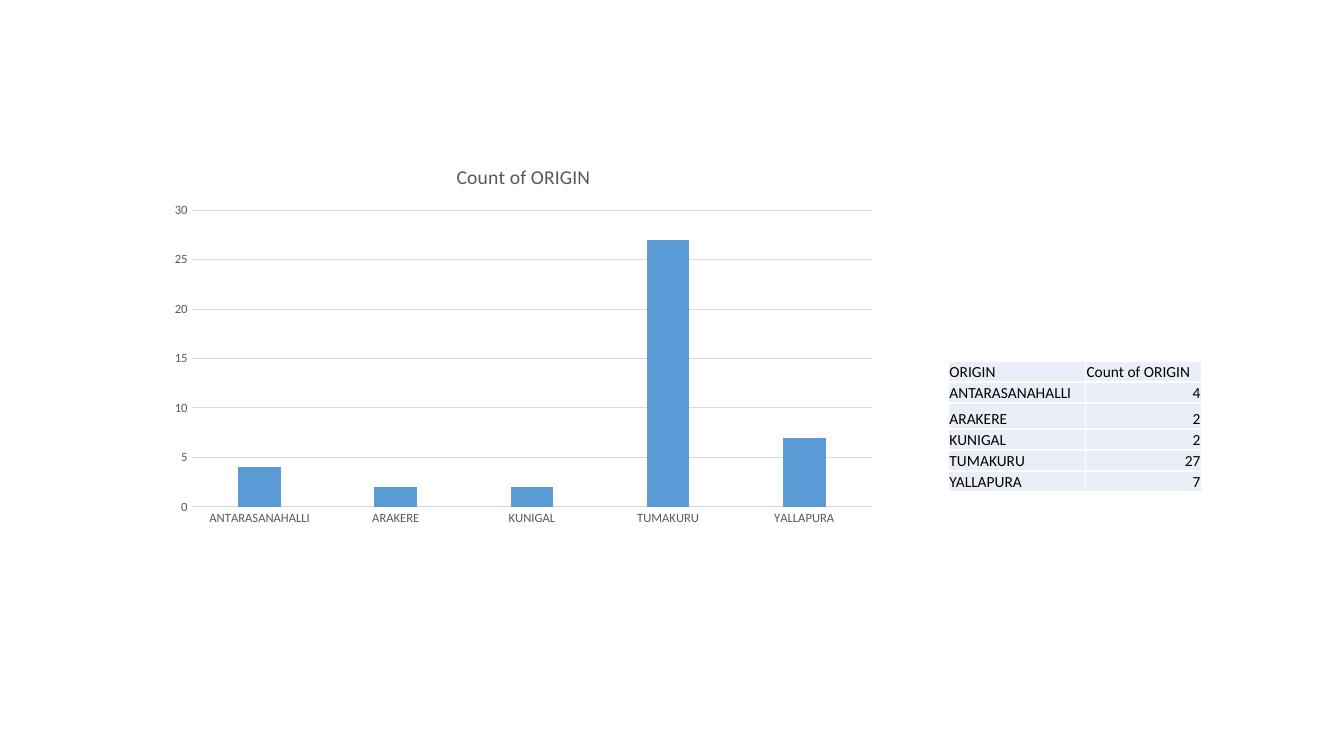
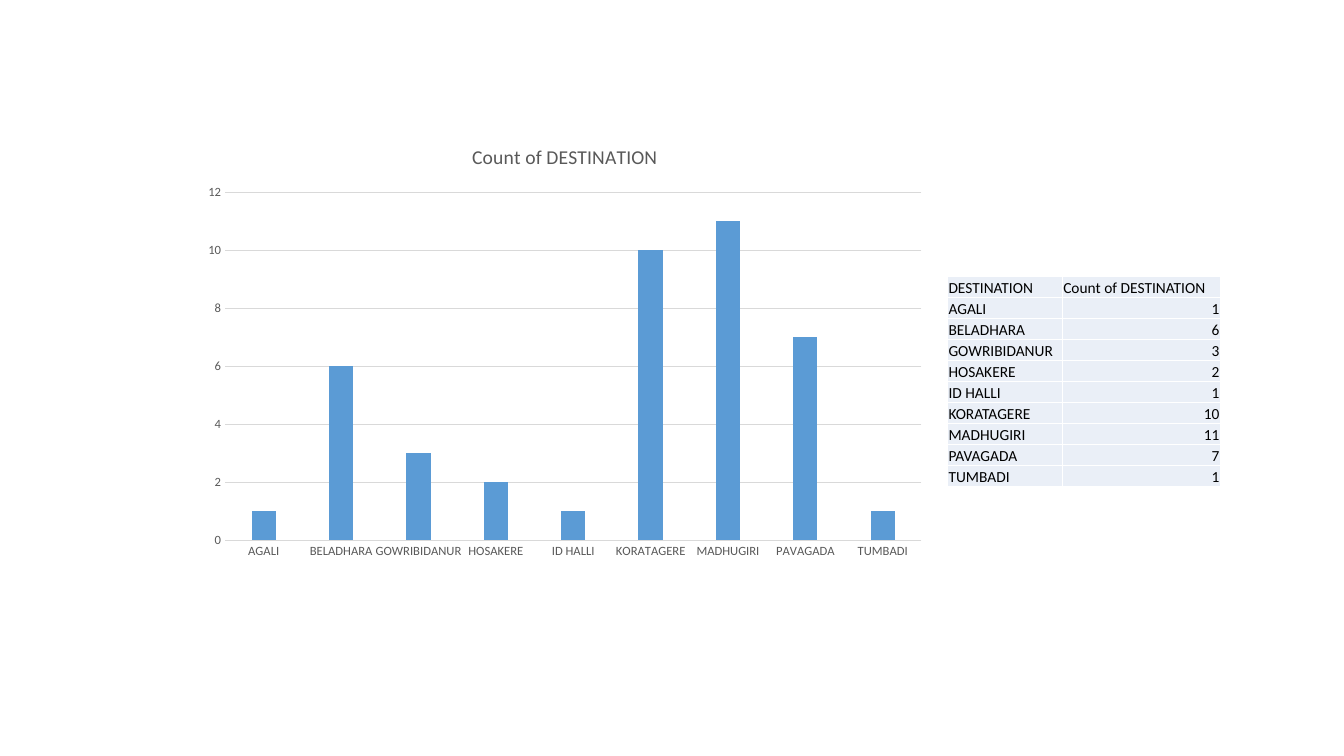
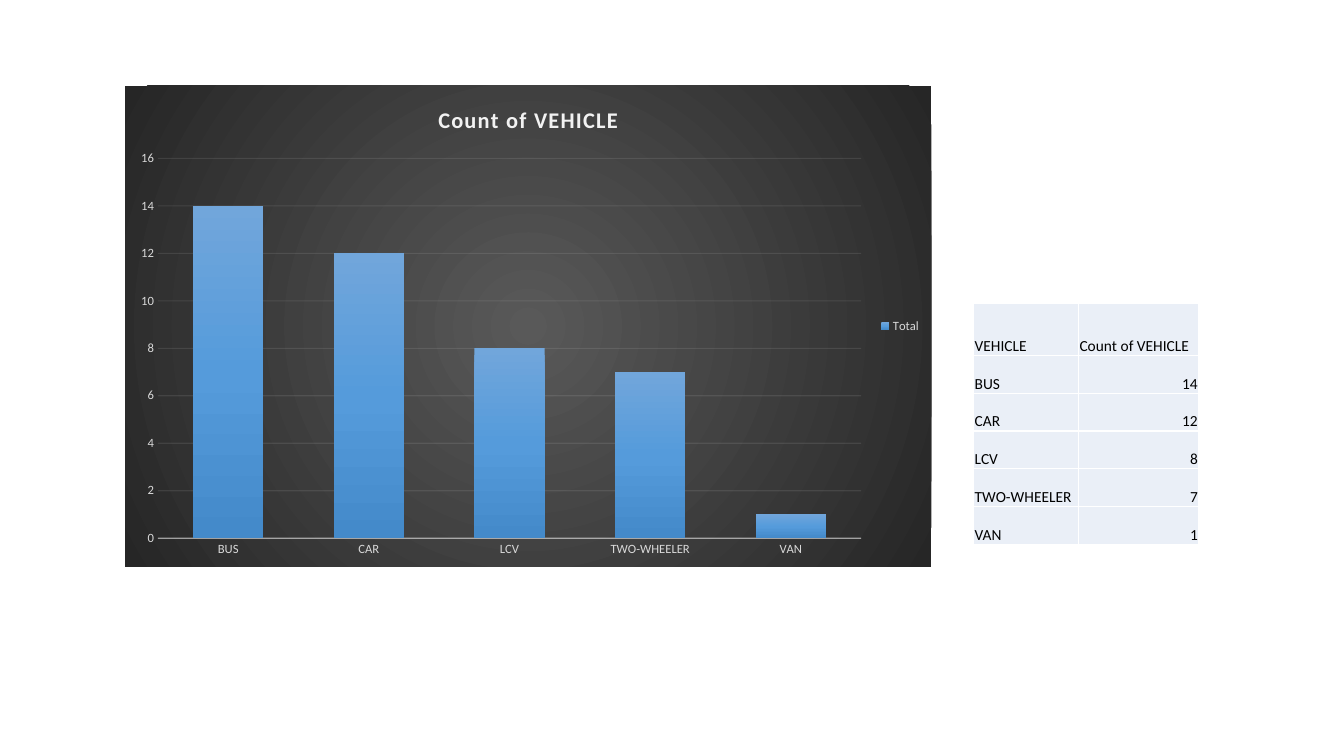
"""Build three slides, each with a column chart of traffic counts and its table."""
from dataclasses import dataclass
from typing import Optional

from pptx import Presentation
from pptx.chart.data import CategoryChartData
from pptx.dml.color import RGBColor
from pptx.dml.line import LineFormat
from pptx.enum.chart import XL_CHART_TYPE, XL_LEGEND_POSITION, XL_TICK_MARK
from pptx.enum.text import MSO_ANCHOR, PP_ALIGN
from pptx.oxml import parse_xml
from pptx.oxml.ns import nsdecls, qn
from pptx.slide import Slide
from pptx.table import _Cell
from pptx.text.text import Font, TextFrame
from pptx.util import Pt

COLUMN = XL_CHART_TYPE.COLUMN_CLUSTERED
LEGEND_RIGHT = XL_LEGEND_POSITION.RIGHT
NO_TICK = XL_TICK_MARK.NONE
BOTTOM = MSO_ANCHOR.BOTTOM
LEFT, RIGHT = PP_ALIGN.LEFT, PP_ALIGN.RIGHT

BLACK = RGBColor(0x00, 0x00, 0x00)
WHITE = RGBColor(0xFF, 0xFF, 0xFF)
BLUE = RGBColor(0x5B, 0x9B, 0xD5)
PALE_BLUE = RGBColor(0xEA, 0xEF, 0xF7)
GREY = RGBColor(0x59, 0x59, 0x59)
LIGHT_GREY = RGBColor(0xD9, 0xD9, 0xD9)
OFF_WHITE = RGBColor(0xF2, 0xF2, 0xF2)
CHARCOAL = RGBColor(0x26, 0x26, 0x26)
BAR_TOP = RGBColor(0x71, 0xA6, 0xDB)
BAR_MIDDLE = RGBColor(0x55, 0x9B, 0xDB)
BAR_BOTTOM = RGBColor(0x44, 0x8A, 0xCA)

FONT = "Calibri"
DOWNWARD = '<a:lin ang="5400000" scaled="0"/>'
RADIAL = ('<a:path path="circle"><a:fillToRect l="50000" t="50000" '
          'r="50000" b="50000"/></a:path>')


@dataclass(frozen=True)
class Look:
    """Styling of a chart."""
    label_color: RGBColor = GREY
    title_color: RGBColor = GREY
    title_size: float = 14
    title_bold: bool = False
    title_spacing: float = 0
    line_color: RGBColor = LIGHT_GREY
    axis_width: float = 0.75
    axis_opacity: int = 100
    grid_opacity: int = 100
    gap: int = 219
    overlap: int = -27
    legend: bool = False
    bar_stops: tuple[RGBColor, ...] = ()
    backdrop_stops: tuple[RGBColor, ...] = ()


@dataclass(frozen=True)
class Tally:
    """One counted field with the places of its chart and table."""
    field: str
    counts: dict[str, int]
    chart_box: tuple[float, float, float, float]
    axis_max: int
    axis_step: int
    table_at: tuple[float, float]
    column_widths: tuple[float, float]
    row_height: float
    special_rows: dict[int, float]
    look: Look
    series_name: str = "Series 1"


LIGHT = Look()
DARK = Look(label_color=LIGHT_GREY, title_color=OFF_WHITE, title_size=16,
            title_bold=True, title_spacing=1, line_color=OFF_WHITE,
            axis_width=1, axis_opacity=54, grid_opacity=10, gap=100,
            overlap=-24, legend=True,
            bar_stops=(BAR_TOP, BAR_MIDDLE, BAR_BOTTOM),
            backdrop_stops=(GREY, CHARCOAL))

TALLIES = (
    Tally("ORIGIN",
          {"ANTARASANAHALLI": 4, "ARAKERE": 2, "KUNIGAL": 2,
           "TUMAKURU": 27, "YALLAPURA": 7},
          (114.5, 104.4, 519, 276.5), 30, 5,
          (677.5, 257.9), (97.9, 82.8), 15, {2: 18.6}, LIGHT),
    Tally("DESTINATION",
          {"AGALI": 1, "BELADHARA": 6, "GOWRIBIDANUR": 3, "HOSAKERE": 2,
           "ID HALLI": 1, "KORATAGERE": 10, "MADHUGIRI": 11,
           "PAVAGADA": 7, "TUMBADI": 1},
          (138.2, 90, 530.6, 315.4), 12, 2,
          (676.8, 197.4), (82, 113), 15, {}, LIGHT),
    Tally("VEHICLE",
          {"BUS": 14, "CAR": 12, "LCV": 8, "TWO-WHEELER": 7, "VAN": 1},
          (89.3, 61.2, 576, 343.5), 16, 2,
          (695.5, 216.7), (74.9, 85.9), 27, {0: 37.2}, DARK, "Total"),
)


def format_font(font: Font, size: float, color: RGBColor, bold: bool = False) -> None:
    """Set the shared typeface with a size, colour and weight."""
    font.name, font.size, font.bold = FONT, Pt(size), bold
    font.color.rgb = color


def write(frame: TextFrame, text: str, *, size: float = 11, color: RGBColor = BLACK,
          bold: bool = False, align: PP_ALIGN = LEFT, spacing: float = 0) -> None:
    """Write one formatted paragraph."""
    paragraph = frame.paragraphs[0]
    paragraph.alignment = align
    run = paragraph.add_run()
    run.text = text
    format_font(run.font, size, color, bold)
    if spacing:
        run._r.get_or_add_rPr().set("spc", str(round(spacing * 100)))


def gradient(stops: tuple[RGBColor, ...], direction: str) -> str:
    """Return a gradient fill with evenly spaced stops."""
    step = 100000 // (len(stops) - 1)
    marks = "".join(f'<a:gs pos="{i * step}"><a:srgbClr val="{color}"/></a:gs>'
                    for i, color in enumerate(stops))
    return (f'<a:gradFill {nsdecls("a")} rotWithShape="1">'
            f'<a:gsLst>{marks}</a:gsLst>{direction}</a:gradFill>')


def format_line(line: LineFormat, color: RGBColor, width: float, opacity: int) -> None:
    """Give a chart line its colour, width and opacity."""
    line.width = Pt(width)
    line.color.rgb = color
    if opacity < 100:
        tint = line._ln.find(f".//{qn('a:srgbClr')}")
        tint.append(parse_xml(f'<a:alpha {nsdecls("a")} val="{opacity * 1000}"/>'))


def add_count_chart(slide: Slide, tally: Tally) -> None:
    """Add the column chart of a tally."""
    look = tally.look
    data = CategoryChartData()
    data.categories = list(tally.counts)
    data.add_series(tally.series_name, list(tally.counts.values()))
    chart = slide.shapes.add_chart(COLUMN, *map(Pt, tally.chart_box), data).chart
    format_font(chart.font, 10, BLACK)
    chart.has_title = True
    write(chart.chart_title.text_frame, f"Count of {tally.field}",
          size=look.title_size, color=look.title_color, bold=look.title_bold,
          align=PP_ALIGN.CENTER, spacing=look.title_spacing)
    chart.chart_title.include_in_layout = False

    chart.has_legend = look.legend
    if look.legend:
        chart.legend.position = LEGEND_RIGHT
        chart.legend.include_in_layout = False
        format_font(chart.legend.font, 9, look.label_color)

    categories, counts = chart.category_axis, chart.value_axis
    for axis in (categories, counts):
        axis.major_tick_mark = axis.minor_tick_mark = NO_TICK
        format_font(axis.tick_labels.font, 9, look.label_color)
    format_line(categories.format.line, look.line_color, look.axis_width,
                look.axis_opacity)
    counts.format.line.fill.background()
    counts.minimum_scale, counts.maximum_scale = 0, tally.axis_max
    counts.major_unit = tally.axis_step
    counts.has_major_gridlines = True
    format_line(counts.major_gridlines.format.line, look.line_color, 0.75,
                look.grid_opacity)

    plot = chart.plots[0]
    plot.gap_width, plot.overlap = look.gap, look.overlap
    plot.vary_by_categories = False
    bars = plot.series[0]
    bars.invert_if_negative = False
    if look.bar_stops:
        bars._element.get_or_add_spPr().append(
            parse_xml(gradient(look.bar_stops, DOWNWARD)))
    else:
        bars.format.fill.solid()
        bars.format.fill.fore_color.rgb = BLUE

    backdrop = (gradient(look.backdrop_stops, RADIAL) if look.backdrop_stops
                else "<a:noFill/>")
    chart._chartSpace.find(qn("c:chart")).addnext(parse_xml(
        f'<c:spPr {nsdecls("c", "a")}>{backdrop}'
        '<a:ln><a:noFill/></a:ln></c:spPr>'))


def fill_cell(cell: _Cell, text: str, align: Optional[PP_ALIGN] = LEFT) -> None:
    """Write a table cell with its fill, margins and white borders."""
    cell.margin_left = cell.margin_right = cell.margin_top = Pt(0.72)
    cell.margin_bottom = Pt(0)
    cell.vertical_anchor = BOTTOM
    properties = cell._tc.get_or_add_tcPr()
    for side in "LRTB":
        properties.append(parse_xml(
            f'<a:ln{side} {nsdecls("a")} w="{Pt(1)}"><a:solidFill>'
            f'<a:srgbClr val="{WHITE}"/></a:solidFill></a:ln{side}>'))
    cell.fill.solid()
    cell.fill.fore_color.rgb = PALE_BLUE
    write(cell.text_frame, text, align=align)


def add_count_table(slide: Slide, tally: Tally) -> None:
    """Add the table of a tally."""
    rows = [(tally.field, f"Count of {tally.field}"), *tally.counts.items()]
    heights = [tally.special_rows.get(i, tally.row_height) for i in range(len(rows))]
    table = slide.shapes.add_table(
        len(rows), 2, *map(Pt, tally.table_at),
        Pt(sum(tally.column_widths)), Pt(sum(heights))).table
    table.first_row = table.horz_banding = False
    for column, width in zip(table.columns, tally.column_widths):
        column.width = Pt(width)
    for i, (name, count) in enumerate(rows):
        table.rows[i].height = Pt(heights[i])
        fill_cell(table.cell(i, 0), name)
        fill_cell(table.cell(i, 1), str(count), RIGHT if i else LEFT)


def main() -> None:
    """Build and save the presentation."""
    deck = Presentation()
    deck.slide_width, deck.slide_height = Pt(960), Pt(540)
    blank = deck.slide_layouts.get_by_name("Blank")
    for tally in TALLIES:
        slide = deck.slides.add_slide(blank)
        add_count_chart(slide, tally)
        add_count_table(slide, tally)
    deck.save("out.pptx")


if __name__ == "__main__":
    main()
